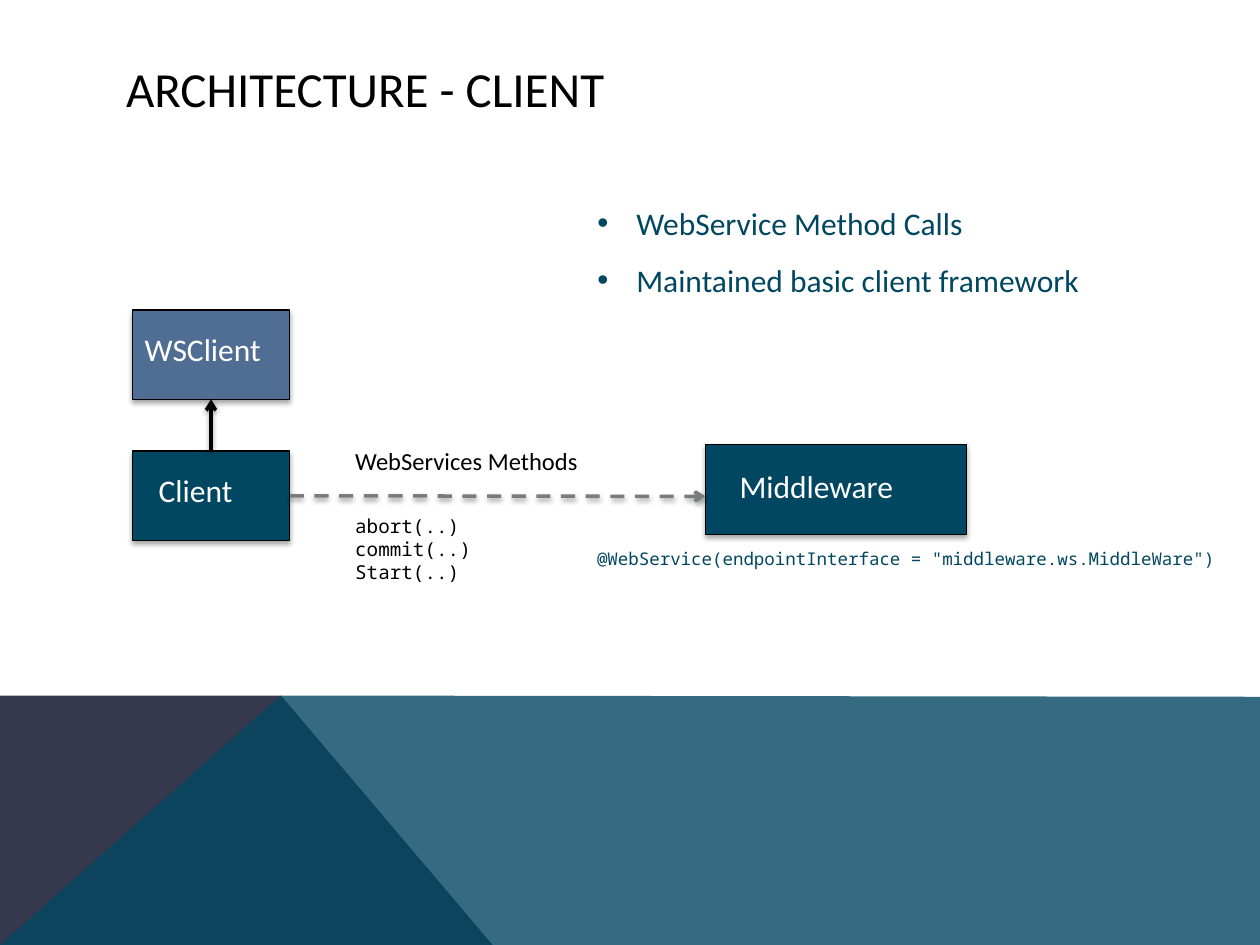
from dataclasses import dataclass

import pptx
import pptx.dml.color
import pptx.enum.dml
import pptx.enum.shapes
import pptx.enum.text
import pptx.oxml
import pptx.oxml.ns
import pptx.util

Inches = pptx.util.Inches
Pt = pptx.util.Pt
NAVY, BLUE, SLATE = "024761", "506E94", "36384D"
BLACK, WHITE, GRAY = "000000", "FFFFFF", "797B7E"
SANS, MONO = "Calibri", "Noto Sans Mono"


@dataclass
class Node:
    label: str
    left: float
    top: float
    width: float
    fill: str
    inset_left: float
    inset_top: float


@dataclass
class Line:
    text: str
    size: float
    font: str
    color: str
    space_before: float = 0


def rgb(color: str) -> pptx.dml.color.RGBColor:
    return pptx.dml.color.RGBColor.from_string(color)


def xml(body: str):
    return pptx.oxml.parse_xml(body.replace(">", f" {pptx.oxml.ns.nsdecls('a')}>", 1))


def add_shadow(shape, opacity: int, distance: float) -> None:
    shape._element.spPr.append(xml(
        f'<a:effectLst><a:outerShdw blurRad="{Pt(3.1)}" dist="{Pt(distance)}" dir="5400000" '
        f'rotWithShape="0"><a:srgbClr val="{BLACK}"><a:alpha val="{opacity * 1000}"/>'
        "</a:srgbClr></a:outerShdw></a:effectLst>"))


def place(shape, left: float, top: float, width: float, height: float) -> None:
    shape.left, shape.top = Inches(left), Inches(top)
    shape.width, shape.height = Inches(width), Inches(height)


def write(frame, lines: list[Line]) -> None:
    for index, line in enumerate(lines):
        para = frame.add_paragraph() if index else frame.paragraphs[0]
        para.alignment = pptx.enum.text.PP_ALIGN.LEFT
        para.space_before = Pt(line.space_before)
        span = para.add_run()
        span.text = line.text
        span.font.name, span.font.size = line.font, Pt(line.size)
        span.font.color.rgb = rgb(line.color)


def add_text(page, left: float, top: float, width: float, height: float,
             lines: list[Line], wrap: bool = True) -> None:
    box = page.shapes.add_textbox(Inches(left), Inches(top), Inches(width), Inches(height))
    box.text_frame.word_wrap = wrap
    write(box.text_frame, lines)


def add_band(page, points: list[tuple[float, float]], color: str, opacity: int = 100) -> None:
    corners = [(Inches(x), Inches(y)) for x, y in points]
    builder = page.shapes.build_freeform(*corners[0])
    builder.add_line_segments(corners[1:], close=True)
    band = builder.convert_to_shape()
    band.shadow.inherit = False
    band.fill.solid()
    band.fill.fore_color.rgb = rgb(color)
    band.line.fill.background()
    if opacity < 100:
        fill_color = band._element.spPr.find(".//" + pptx.oxml.ns.qn("a:srgbClr"))
        fill_color.append(xml(f'<a:alpha val="{opacity * 1000}"/>'.replace("/>", "></a:alpha>")))


def add_node(page, node: Node):
    box = page.shapes.add_shape(
        pptx.enum.shapes.MSO_SHAPE.RECTANGLE,
        Inches(node.left), Inches(node.top), Inches(node.width), Inches(0.71))
    box.fill.solid()
    box.fill.fore_color.rgb = rgb(node.fill)
    box.line.color.rgb = rgb(BLACK)
    box.line.width = Pt(0.75)
    add_shadow(box, 35, 1.8)
    frame = box.text_frame
    frame.word_wrap = False
    frame.vertical_anchor = pptx.enum.text.MSO_ANCHOR.TOP
    frame.margin_left, frame.margin_top = Inches(node.inset_left), Inches(node.inset_top)
    write(frame, [Line(node.label, 18, SANS, WHITE)])
    return box


def add_arrow(page, start: tuple[float, float], end: tuple[float, float],
              color: str, dashed: bool = False):
    arrow = page.shapes.add_connector(
        pptx.enum.shapes.MSO_CONNECTOR.STRAIGHT,
        *(Inches(value) for value in start + end))
    arrow.line.color.rgb = rgb(color)
    arrow.line.width = Pt(2)
    if dashed:
        arrow.line.dash_style = pptx.enum.dml.MSO_LINE.DASH
    arrow.line._get_or_add_ln().append(xml('<a:tailEnd type="arrow"></a:tailEnd>'))
    add_shadow(arrow, 38, 1.6)
    return arrow


def main() -> None:
    deck = pptx.Presentation()
    deck.slide_width, deck.slide_height = Inches(10), Inches(7.5)
    page = deck.slides.add_slide(deck.slide_layouts[1])

    # Bottom bands
    add_band(page, [(0, 7.5), (0, 5.52), (2.23, 5.52), (3.91, 7.5)], SLATE)
    add_band(page, [(0, 7.5), (2.23, 5.52), (10, 5.53), (10, 7.5)], NAVY, 80)

    # Title
    title = page.shapes.title
    place(title, 0.9, 0.4, 8.22, 0.6)
    title.text_frame.vertical_anchor = pptx.enum.text.MSO_ANCHOR.MIDDLE
    title.text_frame.auto_size = pptx.enum.text.MSO_AUTO_SIZE.NONE
    write(title.text_frame, [Line("ARCHITECTURE - CLIENT", 28, SANS, BLACK)])

    # Bullet list
    body = page.placeholders[1]
    place(body, 4.64, 1.42, 4.37, 0.98)
    body.text_frame.auto_size = pptx.enum.text.MSO_AUTO_SIZE.NONE
    write(body.text_frame, [
        Line(text, 18, SANS, NAVY)
        for text in ("WebService Method Calls", "Maintained basic client framework")])
    for para in body.text_frame.paragraphs:
        para.line_spacing = 1.5
        properties = para._p.get_or_add_pPr()
        properties.set("marL", str(Inches(0.31)))
        properties.set("indent", str(-Inches(0.31)))
        properties.append(xml('<a:buChar char="•"></a:buChar>'))

    # Components
    client = add_node(page, Node("Client", 1.05, 3.58, 1.25, NAVY, 0.21, 0.16))
    ws_client = add_node(page, Node("WSClient", 1.05, 2.46, 1.25, BLUE, 0.1, 0.16))
    add_node(page, Node("Middleware", 5.6, 3.53, 2.07, NAVY, 0.27, 0.18))

    # Arrows; the call meets Middleware a little below its middle
    inherits = add_arrow(page, (1.67, 3.58), (1.67, 3.17), BLACK)
    inherits.begin_connect(client, 0)
    inherits.end_connect(ws_client, 2)
    call = add_arrow(page, (2.3, 3.94), (5.6, 3.94), GRAY, dashed=True)
    call.begin_connect(client, 3)

    # Method names and endpoint annotation
    add_text(page, 2.72, 3.49, 2.72, 1.19, [
        Line("WebServices Methods", 14, SANS, BLACK),
        Line("abort(..)", 11, MONO, BLACK, space_before=22),
        Line("commit(..)", 11, MONO, BLACK),
        Line("Start(..)", 11, MONO, BLACK)])
    add_text(page, 4.64, 4.3, 5.19, 0.27, [
        Line('@WebService(endpointInterface = "middleware.ws.MiddleWare")', 10, MONO, NAVY)],
        wrap=False)

    deck.save("out.pptx")


if __name__ == "__main__":
    main()
